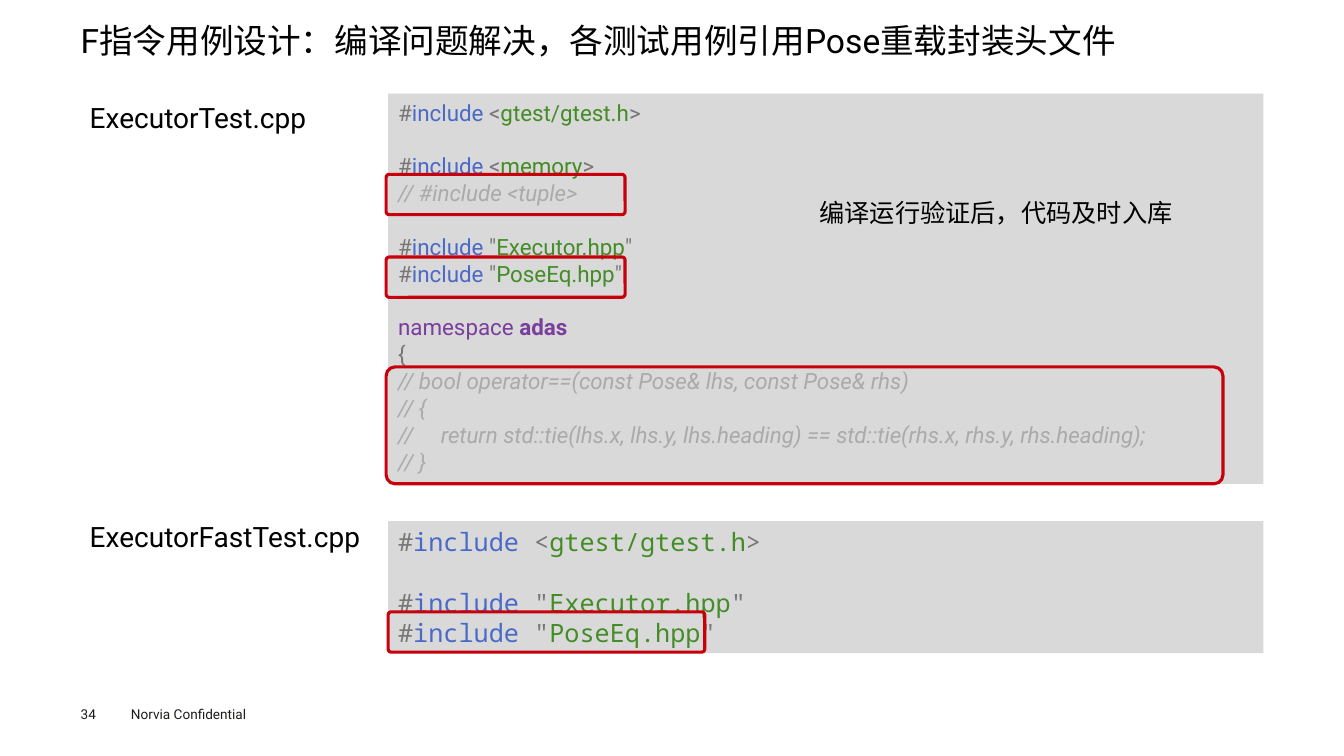
from dataclasses import dataclass

from pptx import Presentation
from pptx.dml.color import RGBColor
from pptx.enum.shapes import MSO_SHAPE as Shape
from pptx.enum.text import MSO_ANCHOR as Anchor, PP_ALIGN as Align
from pptx.util import Inches, Pt


@dataclass(frozen=True)
class Theme:
    font: str = "Roboto"
    mono: str = "Noto Sans Mono"
    chinese: str = "Noto Sans CJK SC"
    black: str = "000000"
    footer: str = "1D1D1B"
    panel: str = "D9D9D9"
    mark: str = "C7000B"
    symbol: str = "777777"
    keyword: str = "4B69C6"
    literal: str = "448C27"
    scope: str = "7A3E9D"
    comment: str = "AAAAAA"
    title_size: float = 24
    label_size: float = 20
    note_size: float = 18
    code_size: float = 16
    mono_size: float = 18
    footer_size: float = 9.7


class SlideBuilder:
    def __init__(self, page, theme):
        self.page = page
        self.theme = theme

    def style(self, para, size, color=None, font=None):
        para.font.name = font or self.theme.font
        para.font.size = Pt(size)
        if color:
            para.font.color.rgb = RGBColor.from_string(color)

    def insets(self, frame, side, top):
        frame.margin_left = frame.margin_right = Inches(side)
        frame.margin_top = frame.margin_bottom = Inches(top)

    def title(self, text, left, top, width, height):
        box = self.page.shapes.title
        box.left, box.top = Inches(left), Inches(top)
        box.width, box.height = Inches(width), Inches(height)
        frame = box.text_frame
        frame.text = text
        frame.vertical_anchor = Anchor.TOP
        self.insets(frame, 0, 0)
        para = frame.paragraphs[0]
        para.alignment = Align.LEFT
        para.line_spacing = 0.9
        self.style(para, self.theme.title_size, self.theme.black)

    def text(self, text, left, top, width, height, size, color,
             font=None, inset=(0.1, 0.05), wrap=True):
        box = self.page.shapes.add_textbox(
            Inches(left), Inches(top), Inches(width), Inches(height))
        frame = box.text_frame
        frame.word_wrap = wrap
        self.insets(frame, *inset)
        para = frame.paragraphs[0]
        para.text = text
        self.style(para, size, color, font)
        return para

    def label(self, text, top):
        para = self.text(text, 0.8, top, 11.73, 0.67, self.theme.label_size,
                         self.theme.black, inset=(0.09, 0.04))
        para.alignment = Align.JUSTIFY
        para.line_spacing = 1.4
        para.space_before = Pt(7.9)

    def code(self, groups, top, height, size, font, gap):
        """Draw groups of code lines, set apart by a gap in points."""
        box = self.page.shapes.add_shape(
            Shape.RECTANGLE, Inches(3.85), Inches(top), Inches(8.68), Inches(height))
        box.shadow.inherit = False
        box.fill.solid()
        box.fill.fore_color.rgb = RGBColor.from_string(self.theme.panel)
        box.line.fill.background()
        frame = box.text_frame
        frame.word_wrap = True
        frame.vertical_anchor = Anchor.TOP
        para = None
        for group_index, group in enumerate(groups):
            for line_index, line in enumerate(group):
                para = frame.add_paragraph() if para else frame.paragraphs[0]
                para.alignment = Align.LEFT
                if group_index and not line_index:
                    para.space_before = Pt(gap)
                self.style(para, size, font=font)
                for text, color, *bold in line:
                    span = para.add_run()
                    span.text = text
                    span.font.color.rgb = RGBColor.from_string(color)
                    if color == self.theme.comment:
                        span.font.italic = True
                    if bold:
                        span.font.bold = True

    def mark(self, left, top, width, height):
        box = self.page.shapes.add_shape(
            Shape.ROUNDED_RECTANGLE, Inches(left), Inches(top), Inches(width), Inches(height))
        box.adjustments[0] = 0.077
        box.shadow.inherit = False
        box.fill.background()
        box.line.color.rgb = RGBColor.from_string(self.theme.mark)
        box.line.width = Pt(2.25)


THEME = Theme()


def include(header, quotes='""'):
    return [("#", THEME.symbol), ("include ", THEME.keyword), (quotes[0], THEME.symbol),
            (header, THEME.literal), (quotes[1], THEME.symbol)]


def comment(text):
    return [("// " + text, THEME.comment)]


GTEST = include("gtest/gtest.h", "<>")
OWN_HEADERS = [include("Executor.hpp"), include("PoseEq.hpp")]
EXECUTOR_TEST = [
    [GTEST],
    [include("memory", "<>"), comment("#include <tuple>")],
    OWN_HEADERS,
    [[("namespace ", THEME.scope), ("adas", THEME.scope, True)],
     [("{", THEME.symbol)],
     comment("bool operator==(const Pose& lhs, const Pose& rhs)"),
     comment("{"),
     comment("    return std::tie(lhs.x, lhs.y, lhs.heading)"
             " == std::tie(rhs.x, rhs.y, rhs.heading);"),
     comment("}")],
]
FAST_TEST = [[GTEST], OWN_HEADERS]
MARKS = [(3.83, 1.73, 2.37, 0.4), (3.83, 2.55, 2.37, 0.4),
         (3.83, 3.64, 8.3, 1.16), (3.85, 6.07, 3.14, 0.4)]


def main():
    deck = Presentation()
    deck.slide_width, deck.slide_height = Inches(13.33), Inches(7.5)
    slide = SlideBuilder(deck.slides.add_slide(deck.slide_layouts[5]), THEME)

    # Footer
    slide.text("Norvia Confidential", 1.2, 6.95, 1.6, 0.27, THEME.footer_size, THEME.footer)
    slide.text("34", 0.8, 7, 0.55, 0.16, THEME.footer_size, THEME.footer, inset=(0, 0))

    # Title
    slide.title("F指令用例设计：编译问题解决，各测试用例引用Pose重载封装头文件", 0.8, 0.24, 11.73, 0.53)

    # Source files
    slide.label("ExecutorTest.cpp", 0.82)
    slide.code(EXECUTOR_TEST, 0.93, 3.87, THEME.code_size, THEME.font, 19.2)
    slide.label("ExecutorFastTest.cpp", 4.98)
    slide.code(FAST_TEST, 5.17, 1.31, THEME.mono_size, THEME.mono, 21.8)

    # Note and highlights
    slide.text("编译运行验证后，代码及时入库", 8.03, 1.91, 3.81, 0.4, THEME.note_size,
               THEME.black, THEME.chinese, wrap=False)
    for place in MARKS:
        slide.mark(*place)

    deck.save("out.pptx")


if __name__ == "__main__":
    main()
